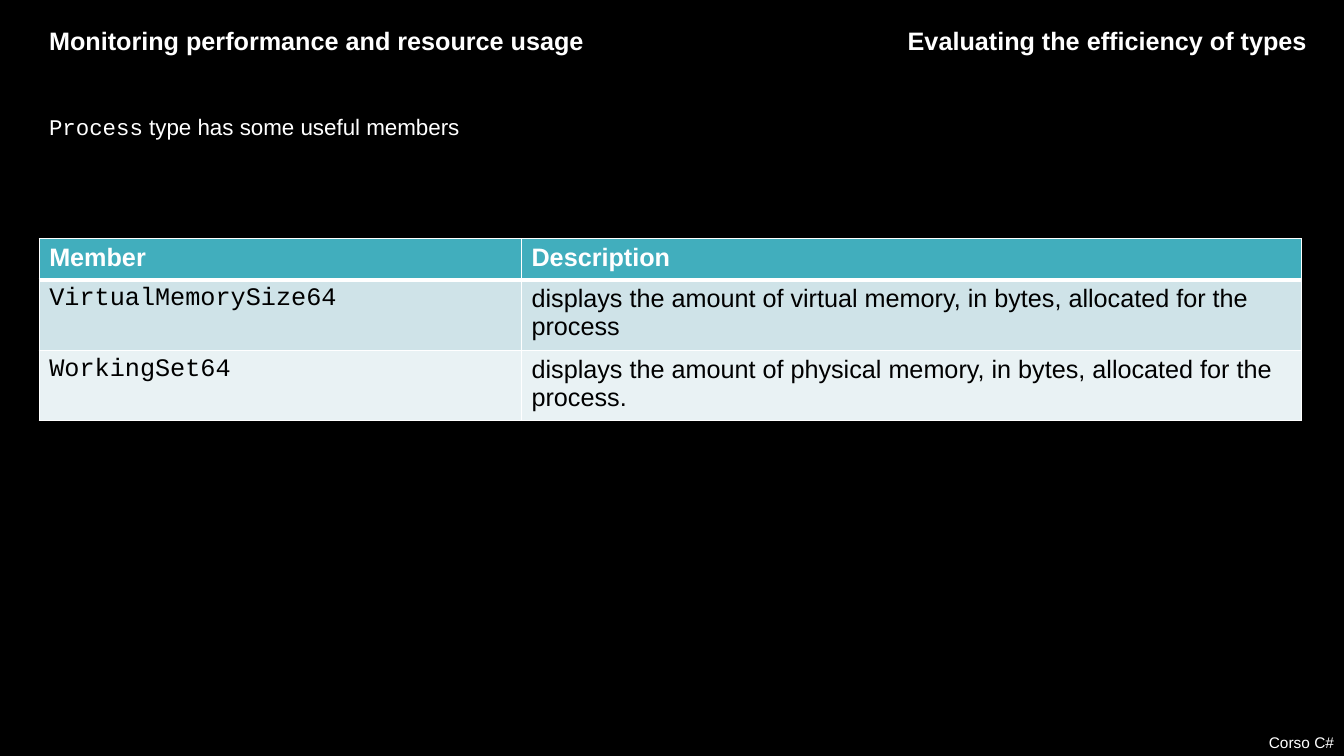
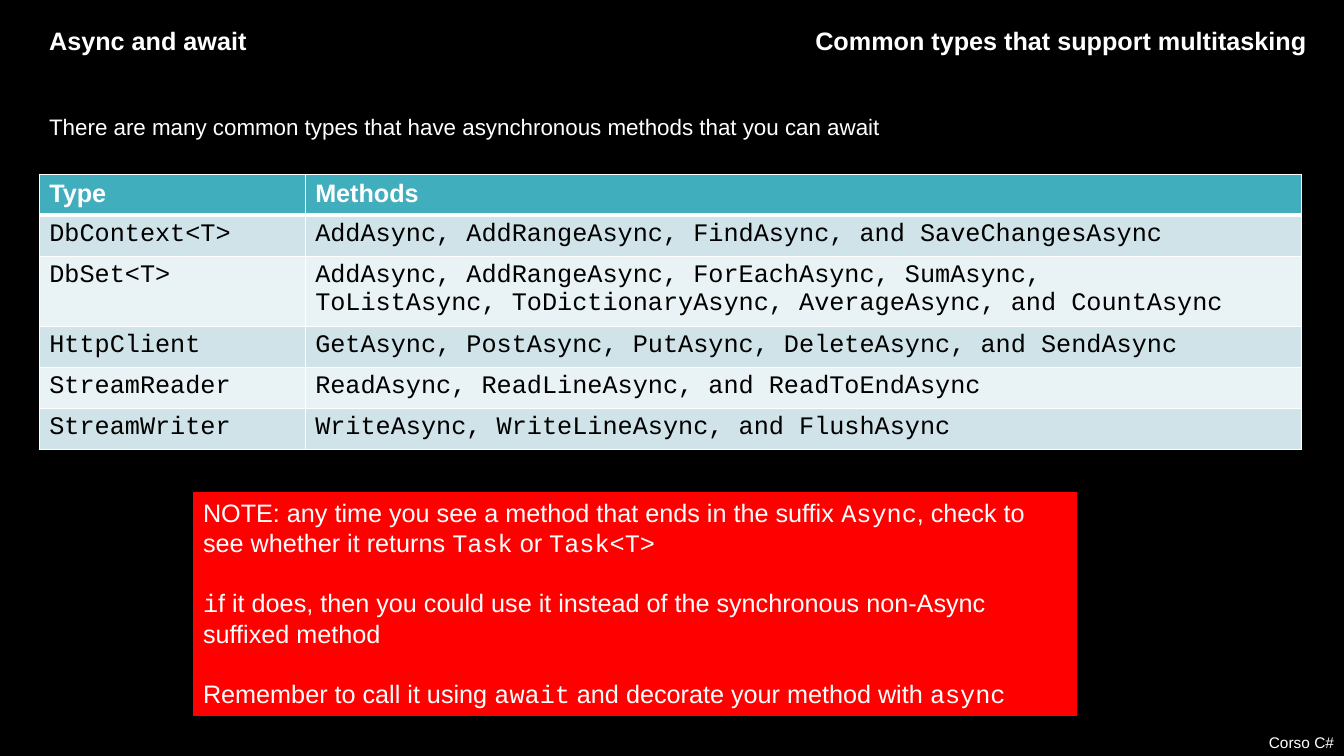
from lxml.etree import SubElement
from pptx import Presentation
from pptx.dml.color import RGBColor
from pptx.enum.shapes import MSO_SHAPE
from pptx.enum.text import MSO_ANCHOR, PP_ALIGN
from pptx.oxml import parse_xml
from pptx.oxml.ns import nsdecls
from pptx.util import Pt

BLACK, WHITE, RED, TEAL = "000000", "FFFFFF", "FF0000", "41AEBD"
BANDS = ["CFE3E8", "E9F2F4"]
LEFT, TABLE_WIDTH, HEADING_RIGHT = 28, 901.5, 940.5
ROW_HEIGHT, EXTRA_LINE = 29.3, 21

SLIDES = [
    {
        "chapter": ("Monitoring performance and resource usage", 400),
        "topic": ("Evaluating the efficiency of types", 519),
        "intro": "`Process` type has some useful members",
        "table_top": 170.5,
        "first_column": 344.5,
        "rows": [
            ("Member", "Description", 1),
            ("`VirtualMemorySize64`", "displays the amount of virtual memory, in bytes, "
             "allocated for the process", 2),
            ("`WorkingSet64`", "displays the amount of physical memory, in bytes, "
             "allocated for the process.", 2),
        ],
    },
    {
        "chapter": ("Async and await", 157),
        "topic": ("Common types that support multitasking", 592),
        "intro": "There are many common types that have asynchronous methods that you can await",
        "table_top": 124.5,
        "first_column": 190,
        "rows": [
            ("Type", "Methods", 1),
            ("`DbContext<T>`", "`AddAsync, AddRangeAsync, FindAsync, and SaveChangesAsync`", 1),
            ("`DbSet<T>`", "`AddAsync, AddRangeAsync, ForEachAsync, SumAsync,`\n"
             "`ToListAsync, ToDictionaryAsync, AverageAsync, and CountAsync`", 2),
            ("`HttpClient`", "`GetAsync, PostAsync, PutAsync, DeleteAsync, and SendAsync`", 1),
            ("`StreamReader`", "`ReadAsync, ReadLineAsync, and ReadToEndAsync`", 1),
            ("`StreamWriter`", "`WriteAsync, WriteLineAsync, and FlushAsync`", 1),
        ],
    },
]
NOTE = (
    "NOTE: any time you see a method that ends in the suffix `Async`, "
    "check to see whether it returns `Task` or `Task<T>`\n"
    "`i`f it does, then you could use it instead of the synchronous "
    "non-Async suffixed method\n"
    "Remember to call it using `await` and decorate your method with `async`"
)


def write(frame, text, size=18, color=WHITE, bold=False, align=PP_ALIGN.LEFT):
    """Fill a frame, one paragraph a line; parts in backticks are set as code."""
    frame.text = text.replace("`", "")
    for paragraph, line in zip(frame.paragraphs, text.split("\n")):
        paragraph.text = ""
        paragraph.alignment = align
        for number, part in enumerate(line.split("`")):
            if part:
                run = paragraph.add_run()
                run.text = part
                run.font.name = "Courier New" if number % 2 else "Arial"
                run.font.size = Pt(size)
                run.font.bold = bold
                run.font.color.rgb = RGBColor.from_string(color)


def add_text(slide, left, top, width, height, text, wrap=True, **style):
    frame = slide.shapes.add_textbox(Pt(left), Pt(top), Pt(width), Pt(height)).text_frame
    frame.word_wrap = wrap
    write(frame, text, **style)
    return frame


prs = Presentation()
prs.slide_width, prs.slide_height = Pt(960), Pt(540)

for content in SLIDES:
    slide = prs.slides.add_slide(prs.slide_layouts[6])
    slide.background.fill.solid()
    slide.background.fill.fore_color.rgb = RGBColor.from_string(BLACK)

    add_text(slide, 0, 520, 960, 20.5, "Corso C#", size=11, align=PP_ALIGN.RIGHT)
    chapter, chapter_width = content["chapter"]
    add_text(slide, LEFT, 14.5, chapter_width, 29, chapter, wrap=False, bold=True)
    topic, topic_width = content["topic"]
    add_text(slide, HEADING_RIGHT - topic_width, 14.5, topic_width, 29, topic,
             bold=True, align=PP_ALIGN.RIGHT)
    intro = add_text(slide, LEFT, 67.5, TABLE_WIDTH, 33, content["intro"], size=16)
    intro.paragraphs[0].line_spacing = 1.5

    rows = content["rows"]
    heights = [ROW_HEIGHT + EXTRA_LINE * (lines - 1) for *_, lines in rows]
    table = slide.shapes.add_table(len(rows), 2, Pt(LEFT), Pt(content["table_top"]),
                                   Pt(TABLE_WIDTH), Pt(sum(heights))).table
    table.columns[0].width = Pt(content["first_column"])
    table.columns[1].width = Pt(TABLE_WIDTH - content["first_column"])
    for r, (*texts, _) in enumerate(rows):
        table.rows[r].height = Pt(heights[r])
        header = r == 0
        for c, text in enumerate(texts):
            cell = table.cell(r, c)
            write(cell.text_frame, text, color=WHITE if header else BLACK, bold=header)
            cell.fill.solid()
            cell.fill.fore_color.rgb = RGBColor.from_string(TEAL if header else BANDS[(r - 1) % 2])
            borders = {"L": 1, "R": 1, "T": 3 if r == 1 else 1, "B": 3 if header else 1}
            for position, (side, width) in enumerate(borders.items()):
                border = parse_xml(
                    f'<a:ln{side} {nsdecls("a")} w="{Pt(width)}"><a:solidFill>'
                    f'<a:srgbClr val="{WHITE}"/></a:solidFill></a:ln{side}>')
                cell._tc.get_or_add_tcPr().insert(position, border)

# The warning box belongs to the last slide only
note = slide.shapes.add_shape(MSO_SHAPE.RECTANGLE, Pt(138), Pt(351.5), Pt(631.5), Pt(160))
note.shadow.inherit = False
note.fill.solid()
note.fill.fore_color.rgb = RGBColor.from_string(RED)
note.line.fill.background()
note.text_frame.word_wrap = True
note.text_frame.vertical_anchor = MSO_ANCHOR.TOP
write(note.text_frame, NOTE)
for paragraph in note.text_frame.paragraphs[1:]:
    paragraph.space_before = Pt(21.5)

prs.save("out.pptx")
